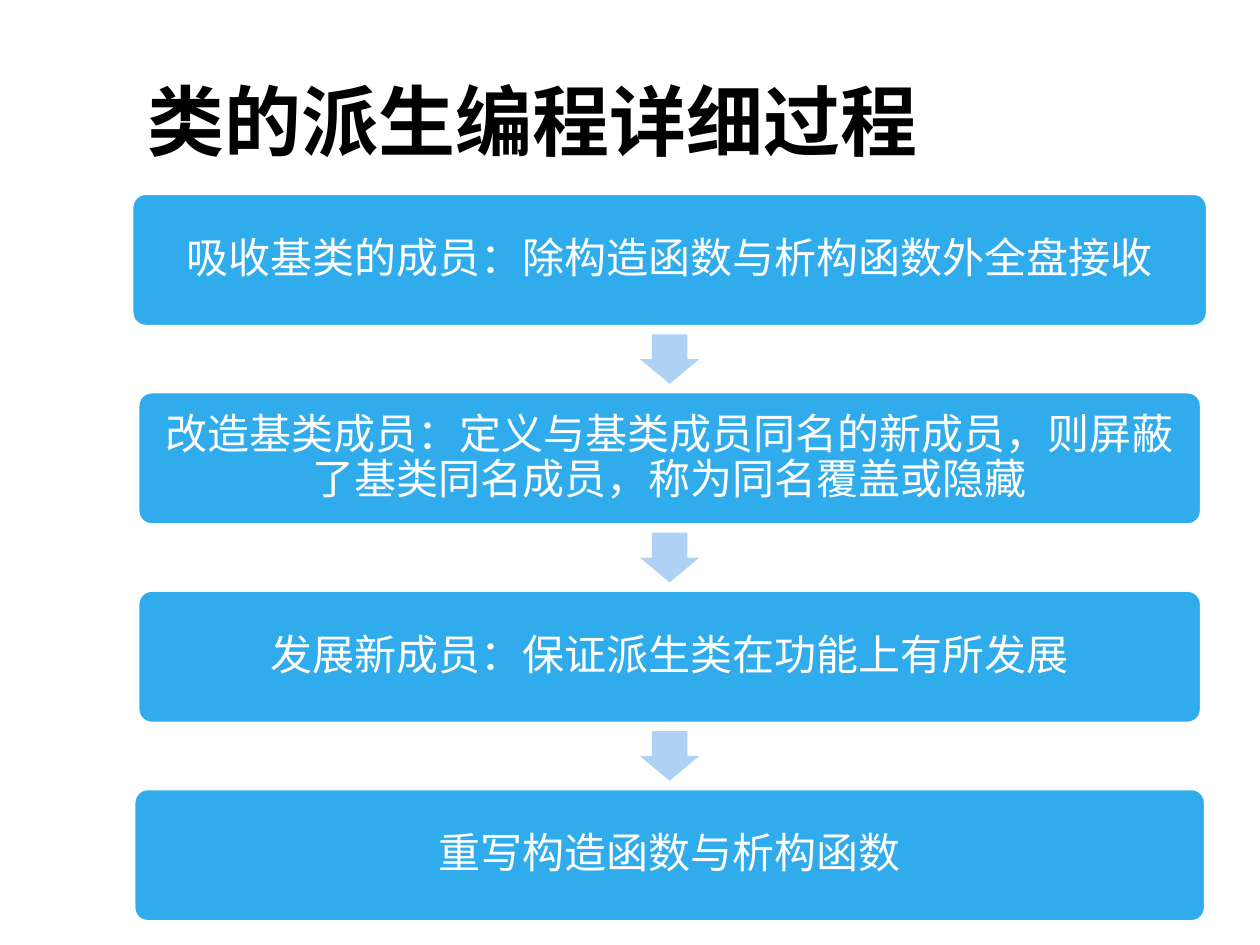
from pptx import Presentation
from pptx.dml.color import RGBColor
from pptx.enum.shapes import MSO_SHAPE
from pptx.enum.text import MSO_ANCHOR, PP_ALIGN
from pptx.util import Cm, Pt

ROUNDED = MSO_SHAPE.ROUNDED_RECTANGLE
DOWN_ARROW = MSO_SHAPE.DOWN_ARROW
MIDDLE = MSO_ANCHOR.MIDDLE
LEFT, CENTER = PP_ALIGN.LEFT, PP_ALIGN.CENTER

BLACK = RGBColor(0x00, 0x00, 0x00)
WHITE = RGBColor(0xFF, 0xFF, 0xFF)
BLUE = RGBColor(0x30, 0xAC, 0xEC)
PALE_BLUE = RGBColor(0xAE, 0xD2, 0xF4)
FONT = "Arial"

STEPS = [
    ("吸收基类的成员：除构造函数与析构函数外全盘接收", 21.66),
    ("改造基类成员：定义与基类成员同名的新成员，则屏蔽了基类同名成员，称为同名覆盖或隐藏", 21.42),
    ("发展新成员：保证派生类在功能上有所发展", 21.42),
    ("重写构造函数与析构函数", 21.58),
]
CENTER_X = 13.5
FIRST_TOP, PITCH, BOX_H = 3.91, 4.0, 2.66
ARROW_W, ARROW_H = 1.2, 1.0

prs = Presentation()
prs.slide_width, prs.slide_height = Cm(25.4), Cm(19.05)
s = prs.slides.add_slide(prs.slide_layouts[5])

title = s.shapes.title
title.left, title.top = Cm(2.72), Cm(0.74)
title.width, title.height = Cm(21.41), Cm(3.35)
tf = title.text_frame
tf.text = "类的派生编程详细过程"
tf.vertical_anchor = MIDDLE
p = tf.paragraphs[0]
p.alignment = LEFT
p.font.name, p.font.size, p.font.bold = FONT, Pt(44), True
p.font.color.rgb = BLACK

for i, (text, width) in enumerate(STEPS):
    top = FIRST_TOP + i * PITCH
    if i > 0:
        arrow_top = top - (PITCH - BOX_H + ARROW_H) / 2
        arrow = s.shapes.add_shape(DOWN_ARROW, Cm(CENTER_X - ARROW_W / 2), Cm(arrow_top),
                                   Cm(ARROW_W), Cm(ARROW_H))
        arrow.adjustments[0], arrow.adjustments[1] = 0.6, 0.5
        arrow.shadow.inherit = False
        arrow.fill.solid()
        arrow.fill.fore_color.rgb = PALE_BLUE
        arrow.line.fill.background()

    box = s.shapes.add_shape(ROUNDED, Cm(CENTER_X - width / 2), Cm(top), Cm(width), Cm(BOX_H))
    box.adjustments[0] = 0.1
    box.shadow.inherit = False
    box.fill.solid()
    box.fill.fore_color.rgb = BLUE
    box.line.color.rgb = WHITE
    box.line.width = Pt(1.25)
    tf = box.text_frame
    tf.word_wrap = True
    tf.vertical_anchor = MIDDLE
    tf.margin_left = tf.margin_right = tf.margin_top = tf.margin_bottom = Cm(0.25)
    tf.text = text
    p = tf.paragraphs[0]
    p.alignment = CENTER
    p.line_spacing = 0.9
    p.font.name, p.font.size = FONT, Pt(24)
    p.font.color.rgb = WHITE

prs.save("out.pptx")
